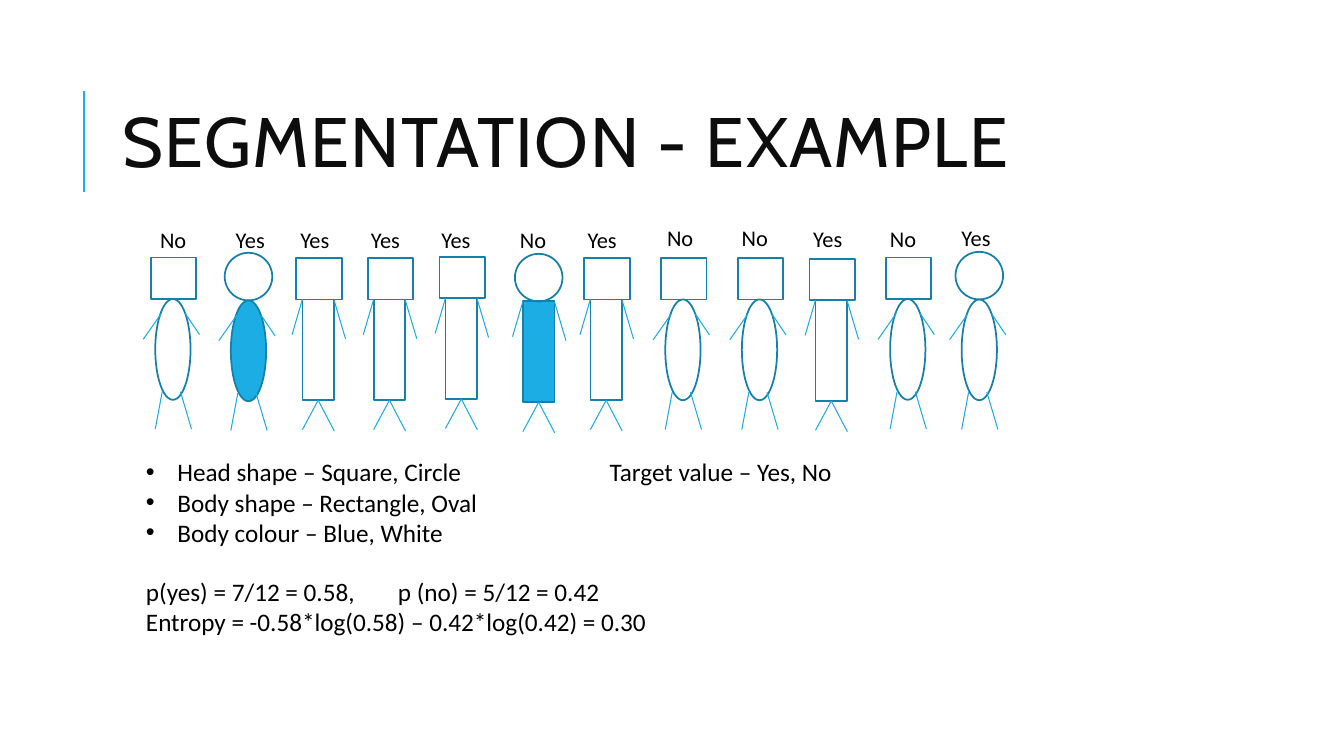
from dataclasses import dataclass
from typing import Any

from lxml import etree
from pptx import Presentation
from pptx.dml.color import RGBColor
from pptx.enum.shapes import MSO_CONNECTOR, MSO_SHAPE
from pptx.enum.text import MSO_ANCHOR
from pptx.oxml.ns import qn
from pptx.util import Pt

SQUARE = RECTANGLE = MSO_SHAPE.RECTANGLE
CIRCLE = OVAL = MSO_SHAPE.OVAL
STRAIGHT = MSO_CONNECTOR.STRAIGHT
TOP = MSO_ANCHOR.TOP
MIDDLE = MSO_ANCHOR.MIDDLE

BLUE = RGBColor(0x1C, 0xAD, 0xE4)
OUTLINE = RGBColor(0x15, 0x80, 0xA9)
TITLE_COLOR = RGBColor(0x0D, 0x0D, 0x0D)
BLACK = RGBColor(0, 0, 0)

HEAD_SIZES = {SQUARE: (32.4, 29.6), CIRCLE: (34, 34)}
BODY_SIZES = {RECTANGLE: (22.6, 72), OVAL: (25.2, 72)}
HEAD_SHIFTS = {SQUARE: 0.6, CIRCLE: 0}
LIMBS = {
    RECTANGLE: (
        (-11.3, 0, -18.7, 25.2),
        (11.3, 0.4, 19.5, 28.1),
        (0, 72, -11.3, 93),
        (0, 72, 11.5, 94),
    ),
    OVAL: (
        (-8.3, 10.4, -21.2, 28.8),
        (8.9, 10.4, 19, 25.4),
        (-7.6, 66.2, -12.6, 92.9),
        (5.4, 66.2, 13.3, 92.9),
    ),
}


@dataclass(frozen=True)
class Figure:
    center: float
    body_top: float
    head: Any
    body: Any
    label: str
    label_left: float
    label_top: float = 157.7
    filled: bool = False


FIGURES = (
    Figure(123.5, 213.6, SQUARE, OVAL, "No", 107.3, 158.2),
    Figure(177.5, 214.6, CIRCLE, OVAL, "Yes", 161.3, filled=True),
    Figure(227.3, 213.9, SQUARE, RECTANGLE, "Yes", 207.4),
    Figure(278.2, 213.9, SQUARE, RECTANGLE, "Yes", 257.8),
    Figure(329.5, 213, SQUARE, RECTANGLE, "Yes", 308.2),
    Figure(384.8, 215.3, CIRCLE, RECTANGLE, "No", 364.3, filled=True),
    Figure(433, 213.9, SQUARE, RECTANGLE, "Yes", 412.6),
    Figure(487.8, 213.9, SQUARE, OVAL, "No", 469.4, 156.4),
    Figure(542.5, 213.9, SQUARE, OVAL, "No", 522.7, 156.8),
    Figure(593.8, 214.4, SQUARE, RECTANGLE, "Yes", 573.8, 157),
    Figure(648.4, 213.6, SQUARE, OVAL, "No", 628.6, 157.3),
    Figure(699.5, 213.9, CIRCLE, OVAL, "Yes", 679.7, 156.8),
)


def add_line(shapes: Any, start: tuple[float, float], end: tuple[float, float],
             width: float = 0.75) -> None:
    connector = shapes.add_connector(STRAIGHT, *map(Pt, start + end))
    connector.line.color.rgb = BLUE
    connector.line.width = Pt(width)
    properties = connector._element.spPr
    etree.SubElement(properties, qn("a:effectLst"))


def add_outline(shapes: Any, kind: Any, center: float, top: float,
                size: tuple[float, float], filled: bool = False) -> None:
    width, height = size
    shape = shapes.add_shape(kind, Pt(center - width / 2), Pt(top), Pt(width), Pt(height))
    shape.shadow.inherit = False
    shape.line.color.rgb = OUTLINE
    shape.line.width = Pt(1.25)
    if filled:
        shape.fill.solid()
        shape.fill.fore_color.rgb = BLUE
    else:
        shape.fill.background()


def add_text(slide: Any, text: str, left: float, top: float, width: float, height: float, *,
             size: float = 18, font: str = "Calibri", color: RGBColor = BLACK,
             anchor: Any = TOP, line_spacing: float = 1, tracking: float = 0,
             bulleted: bool = False, tab: float = 0) -> None:
    frame = slide.shapes.add_textbox(Pt(left), Pt(top), Pt(width), Pt(height)).text_frame
    frame.word_wrap = True
    frame.vertical_anchor = anchor
    for index, line in enumerate(text.split("\n")):
        paragraph = frame.add_paragraph() if index else frame.paragraphs[0]
        paragraph.line_spacing = line_spacing
        run = paragraph.add_run()
        run.text = line
        run.font.size = Pt(size)
        run.font.name = font
        run.font.color.rgb = color
        if tracking:
            run.font._element.set("spc", str(round(tracking * 100)))
        properties = paragraph._p.get_or_add_pPr()
        if bulleted:
            properties.set("marL", str(Pt(22.5)))
            properties.set("indent", str(Pt(-22.5)))
            etree.SubElement(properties, qn("a:buFont"), typeface="Arial")
            etree.SubElement(properties, qn("a:buChar"), char="•")
        if tab:
            tabs = etree.SubElement(properties, qn("a:tabLst"))
            etree.SubElement(tabs, qn("a:tab"), pos=str(Pt(tab)), algn="l")


def add_figure(slide: Any, figure: Figure) -> None:
    shapes = slide.shapes.add_group_shape().shapes
    center, top = figure.center, figure.body_top
    head_size = HEAD_SIZES[figure.head]
    add_outline(shapes, figure.body, center, top, BODY_SIZES[figure.body], figure.filled)
    add_outline(shapes, figure.head, center + HEAD_SHIFTS[figure.head],
                top - head_size[1], head_size)
    for start_x, start_y, end_x, end_y in LIMBS[figure.body]:
        add_line(shapes, (center + start_x, top + start_y), (center + end_x, top + end_y))


def main() -> None:
    presentation = Presentation()
    presentation.slide_width = Pt(960)
    presentation.slide_height = Pt(540)
    slide = presentation.slides.add_slide(presentation.slide_layouts[6])

    add_line(slide.shapes, (60, 137), (60, 65), 1.5)
    add_text(slide, "SEGMENTATION - EXAMPLE", 80.6, 46, 765.4, 118, size=50, font="Cabin",
             color=TITLE_COLOR, anchor=MIDDLE, line_spacing=0.8, tracking=1)

    for figure in FIGURES:
        add_figure(slide, figure)
    for figure in FIGURES:
        add_text(slide, figure.label, figure.label_left, figure.label_top, 36, 26.6, size=16)

    add_text(slide, "Head shape – Square, Circle\nBody shape – Rectangle, Oval\n"
             "Body colour – Blue, White", 97.2, 322.6, 270.7, 72.7, bulleted=True)
    add_text(slide, "Target value – Yes, No", 428.4, 322.6, 280, 28.8)
    add_text(slide, "p(yes) = 7/12 = 0.58,\tp (no) = 5/12 = 0.42\n"
             "Entropy = -0.58*log(0.58) – 0.42*log(0.42) = 0.30",
             97.2, 408.2, 693.4, 51.1, tab=180)
    presentation.save("out.pptx")


if __name__ == "__main__":
    main()
